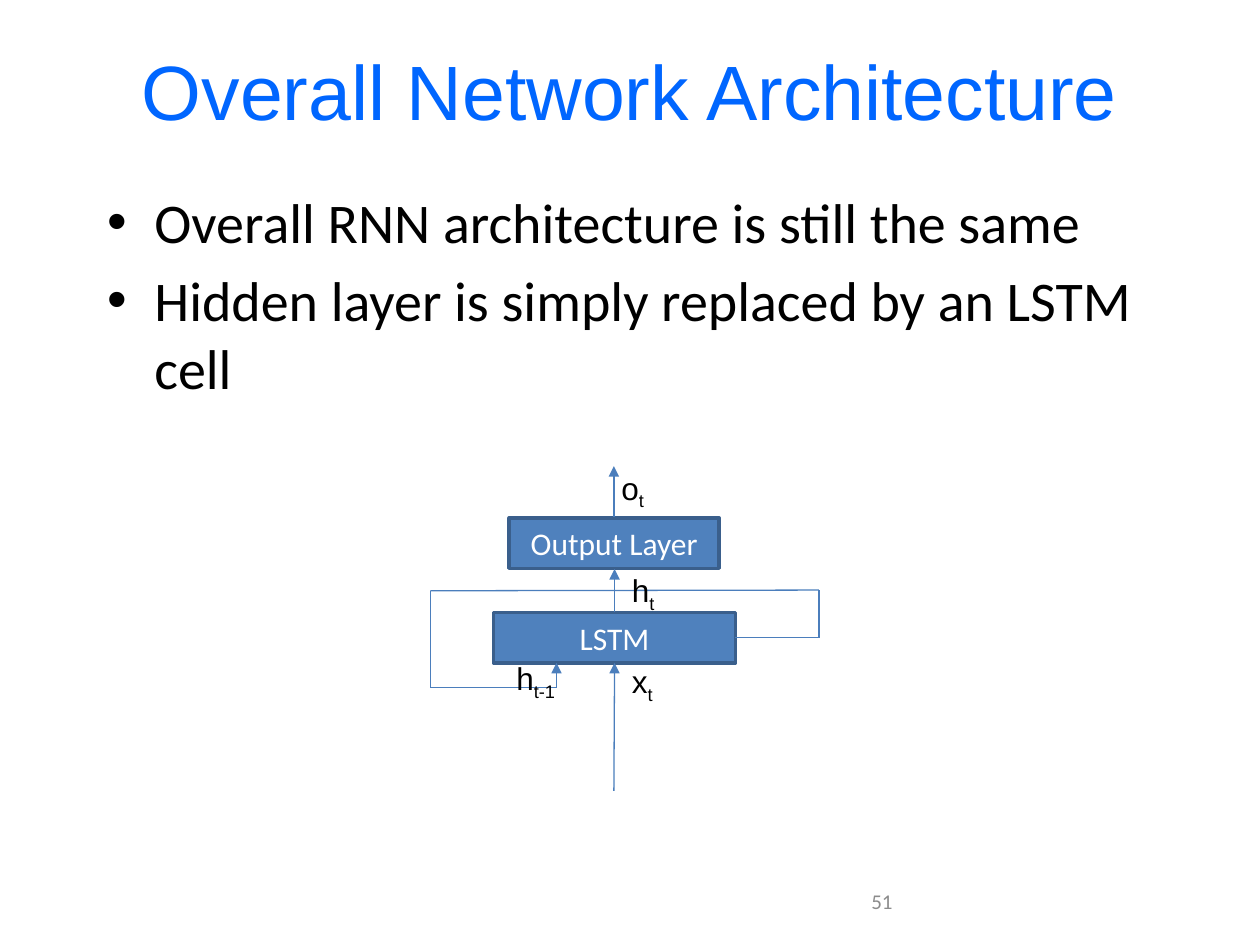
from dataclasses import dataclass

import lxml.etree
import pptx
import pptx.dml.color
import pptx.enum.shapes
import pptx.enum.text
import pptx.oxml.ns
import pptx.util

Pt = pptx.util.Pt
ALIGN = pptx.enum.text.PP_ALIGN
ANCHOR = pptx.enum.text.MSO_ANCHOR
LINE_COLOR = "4B7EBC"


@dataclass(frozen=True)
class Area:
    left: float
    top: float
    width: float
    height: float

    def lengths(self) -> tuple:
        return Pt(self.left), Pt(self.top), Pt(self.width), Pt(self.height)


@dataclass(frozen=True)
class Layer:
    name: str
    area: Area


@dataclass(frozen=True)
class Label:
    symbol: str
    subscript: str
    area: Area


@dataclass(frozen=True)
class Route:
    """A chain of straight lines, with an arrowhead on the last if wanted."""
    points: tuple
    arrow: bool = True


TITLE_AREA = Area(36, 6, 648, 90)
BODY_AREA = Area(54, 103.5, 612, 133.5)
NUMBER_AREA = Area(390, 500.5, 228, 28.8)
BULLETS = (
    "Overall RNN architecture is still the same",
    "Hidden layer is simply replaced by an LSTM cell",
)
LAYERS = (
    Layer("LSTM", Area(282, 350, 138.4, 28.8)),
    Layer("Output Layer", Area(291, 296, 120, 28.8)),
)
ROUTES = (
    Route(((350.8, 295.5), (350.8, 266.4))),
    Route(((350.8, 452), (351.2, 378.8))),
    Route(((351.2, 350), (351.2, 325.2))),
    Route(((420.2, 364.5), (468, 364.5), (468, 337.2), (246, 337.6),
           (246, 393), (318, 393), (318, 378.8))),
)
LABELS = (
    Label("h", "t", Area(354, 322.8, 28, 29)),
    Label("o", "t", Area(348, 264.2, 28, 29)),
    Label("x", "t", Area(354, 374.6, 27.4, 29)),
    Label("h", "t-1", Area(288, 373.2, 38.6, 29)),
)


def color(value: str) -> pptx.dml.color.RGBColor:
    return pptx.dml.color.RGBColor.from_string(value)


def format_font(font, size: float, name: str, value: str) -> None:
    font.size = Pt(size)
    font.name = name
    font.color.rgb = color(value)


def place(shape, area: Area) -> None:
    shape.left, shape.top, shape.width, shape.height = area.lengths()


def add_element(parent, tag: str, **attributes: str):
    return lxml.etree.SubElement(parent, pptx.oxml.ns.qn(tag), attributes)


def fill_placeholders(page) -> None:
    title, body = page.shapes.title, page.placeholders[1]
    place(title, TITLE_AREA)
    title.text_frame.text = "Overall Network Architecture"
    title.text_frame.vertical_anchor = ANCHOR.MIDDLE
    heading = title.text_frame.paragraphs[0]
    heading.alignment = ALIGN.CENTER
    format_font(heading.runs[0].font, 44, "Arial", "0066FF")

    place(body, BODY_AREA)
    body.text_frame.text = "\n".join(BULLETS)
    for paragraph in body.text_frame.paragraphs:
        format_font(paragraph.runs[0].font, 32, "Calibri", "000000")


def add_page_number(page, number: str) -> None:
    box = page.shapes.add_textbox(*NUMBER_AREA.lengths())
    frame = box.text_frame
    frame.text = number
    frame.word_wrap = True
    frame.vertical_anchor = ANCHOR.MIDDLE
    frame.paragraphs[0].alignment = ALIGN.CENTER
    format_font(frame.paragraphs[0].runs[0].font, 12, "Calibri", "8C8C8C")


def add_layer(shapes, layer: Layer) -> None:
    box = shapes.add_shape(
        pptx.enum.shapes.MSO_SHAPE.RECTANGLE, *layer.area.lengths())
    box.shadow.inherit = False
    box.fill.solid()
    box.fill.fore_color.rgb = color("4F81BD")
    box.line.color.rgb = color("3A5F8C")
    box.line.width = Pt(2)
    frame = box.text_frame
    frame.text = layer.name
    frame.vertical_anchor = ANCHOR.MIDDLE
    frame.paragraphs[0].alignment = ALIGN.CENTER
    format_font(frame.paragraphs[0].runs[0].font, 18, "Calibri", "FFFFFF")


def add_route(shapes, route: Route) -> None:
    for start, end in zip(route.points, route.points[1:]):
        line = shapes.add_connector(
            pptx.enum.shapes.MSO_CONNECTOR.STRAIGHT,
            Pt(start[0]), Pt(start[1]), Pt(end[0]), Pt(end[1]))
        line.line.color.rgb = color(LINE_COLOR)
        line.line.width = Pt(0.75)
        properties = line.element.spPr
        if route.arrow and end == route.points[-1]:
            outline = properties.find(pptx.oxml.ns.qn("a:ln"))
            add_element(outline, "a:tailEnd", type="triangle")
        add_element(properties, "a:effectLst")


def add_label(shapes, label: Label) -> None:
    box = shapes.add_textbox(*label.area.lengths())
    frame = box.text_frame
    frame.word_wrap = False
    frame.auto_size = pptx.enum.text.MSO_AUTO_SIZE.SHAPE_TO_FIT_TEXT
    frame.text = label.symbol
    paragraph = frame.paragraphs[0]
    subscript = paragraph.add_run()
    subscript.text = label.subscript
    for span in paragraph.runs:
        format_font(span.font, 18, "Arial", "000000")
    subscript.font._element.set("baseline", "-25000")


def main() -> None:
    deck = pptx.Presentation()
    deck.slide_width, deck.slide_height = Pt(720), Pt(540)
    page = deck.slides.add_slide(deck.slide_layouts[1])
    fill_placeholders(page)
    add_page_number(page, "51")
    network = page.shapes.add_group_shape().shapes
    for layer in LAYERS:
        add_layer(network, layer)
    for route in ROUTES:
        add_route(network, route)
    for label in LABELS:
        add_label(network, label)
    deck.save("out.pptx")


if __name__ == "__main__":
    main()
